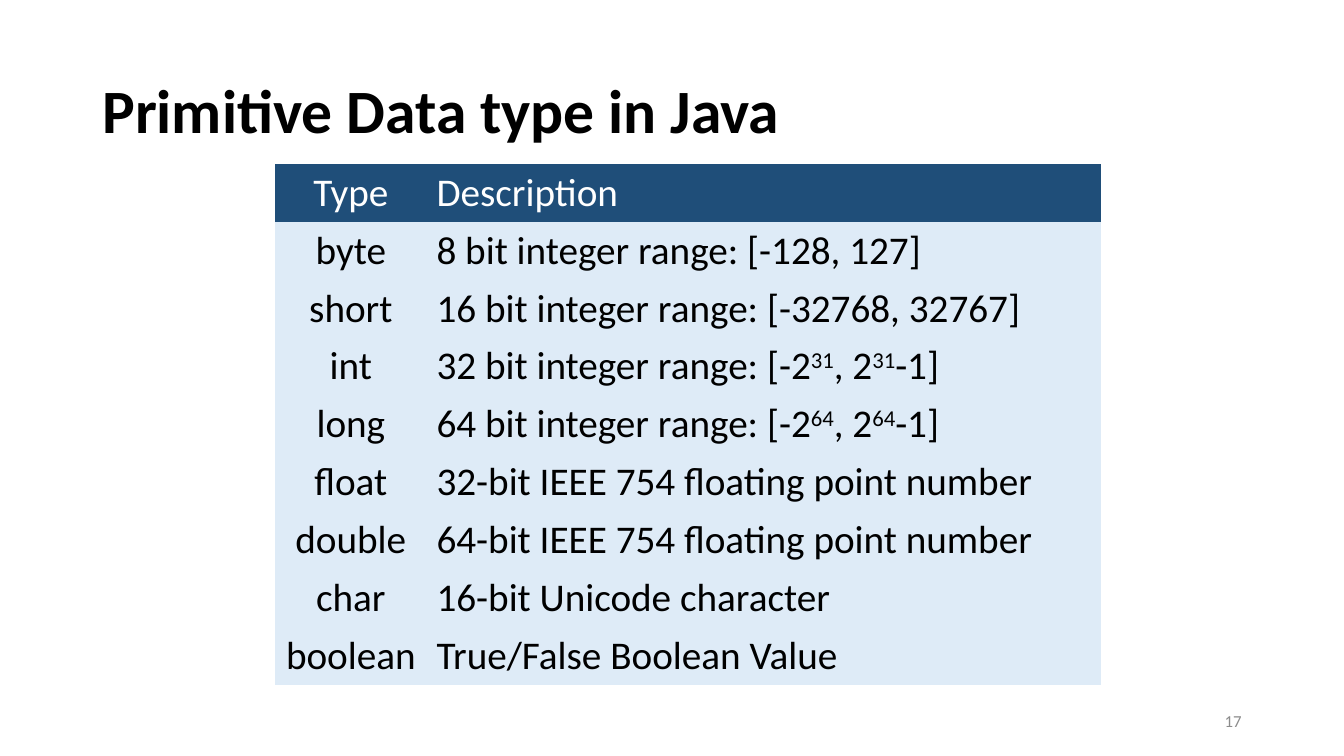
"""Build a slide that tables the primitive data types of Java."""
from dataclasses import dataclass

from pptx import Presentation
from pptx.dml.color import RGBColor as Rgb
from pptx.enum.text import MSO_ANCHOR as Anchor, PP_ALIGN as Align
from pptx.oxml.ns import qn
from pptx.util import Pt

FONT = "Calibri"
HUES = {
    "ink": "000000",
    "white": "FFFFFF",
    "grey": "8C8C8C",
    "head": "1F4E79",
    "body": "DEEBF7",
}
PLAIN = "{2D5ABB26-0587-4C30-8999-92F81FD0307C}"
WIDTHS = (108, 481.7)
HIGH = 41.4


@dataclass
class Style:
    size: float
    hue: str
    align: Align = Align.LEFT
    bold: bool = False


@dataclass
class Label:
    text: str
    box: tuple[float, float, float, float]
    style: Style
    lead: float = 1.0


@dataclass
class Kind:
    name: str
    about: str


LABELS = [
    Label("Primitive Data type in Java", (66, 28.75, 828, 104.4),
          Style(44, "ink", bold=True), 0.9),
    Label("17", (678, 500.5, 216, 28.75), Style(12, "grey", Align.RIGHT)),
]
KINDS = [
    Kind("Type", "Description"),
    Kind("byte", "8 bit integer range: [-128, 127]"),
    Kind("short", "16 bit integer range: [-32768, 32767]"),
    Kind("int", "32 bit integer range: [-2^31^, 2^31^-1]"),
    Kind("long", "64 bit integer range: [-2^64^, 2^64^-1]"),
    Kind("float", "32-bit IEEE 754 floating point number"),
    Kind("double", "64-bit IEEE 754 floating point number"),
    Kind("char", "16-bit Unicode character"),
    Kind("boolean", "True/False Boolean Value"),
]


def color(hue: str) -> Rgb:
    return Rgb.from_string(HUES[hue])


def write(frame, text: str, style: Style) -> None:
    para = frame.paragraphs[0]
    para.alignment = style.align
    for i, part in enumerate(text.split("^")):
        run = para.add_run()
        run.text = part
        font = run.font
        font.name, font.size, font.bold = FONT, Pt(style.size), style.bold
        font.color.rgb = color(style.hue)
        if i % 2:
            run._r.get_or_add_rPr().set("baseline", "30000")


def draw_label(slide, label: Label) -> None:
    frame = slide.shapes.add_textbox(*map(Pt, label.box)).text_frame
    frame.word_wrap = True
    frame.vertical_anchor = Anchor.MIDDLE
    write(frame, label.text, label.style)
    frame.paragraphs[0].line_spacing = label.lead


def draw_table(slide, kinds: list[Kind]) -> None:
    table = slide.shapes.add_table(
        len(kinds), len(WIDTHS), Pt(196.6), Pt(117),
        Pt(sum(WIDTHS)), Pt(HIGH * len(kinds))).table
    table.horz_banding = False
    table._tbl.tblPr.find(qn("a:tableStyleId")).text = PLAIN
    for col, width in zip(table.columns, WIDTHS):
        col.width = Pt(width)
    for i, (row, kind) in enumerate(zip(table.rows, kinds)):
        row.height = Pt(HIGH)
        fill, ink = ("body", "ink") if i else ("head", "white")
        pairs = ((kind.name, Align.CENTER), (kind.about, Align.LEFT))
        for cell, (text, align) in zip(row.cells, pairs):
            cell.fill.solid()
            cell.fill.fore_color.rgb = color(fill)
            write(cell.text_frame, text, Style(28, ink, align))


def main() -> None:
    deck = Presentation()
    deck.slide_width, deck.slide_height = Pt(960), Pt(540)
    slide = deck.slides.add_slide(deck.slide_layouts[6])
    title, number = LABELS
    draw_label(slide, title)
    draw_table(slide, KINDS)
    draw_label(slide, number)
    deck.save("out.pptx")


if __name__ == "__main__":
    main()
